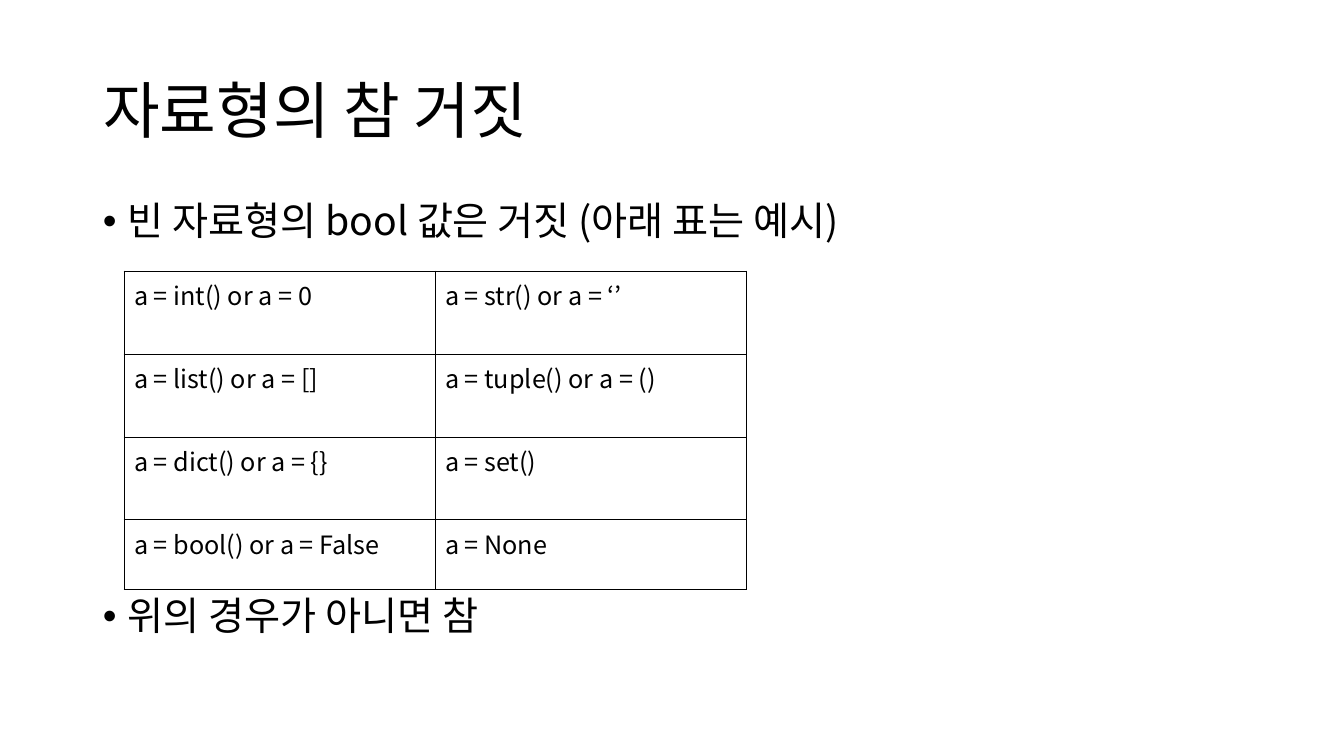
from lxml import etree
from pptx import Presentation
from pptx.dml.color import RGBColor
from pptx.enum.text import MSO_ANCHOR, PP_ALIGN
from pptx.oxml.ns import qn
from pptx.util import Emu, Pt

LEFT, MIDDLE, TOP = PP_ALIGN.LEFT, MSO_ANCHOR.MIDDLE, MSO_ANCHOR.TOP
FONT = "Noto Sans CJK KR"
COLORS = {"text": "000000", "border": "000000"}
EMU_PER_PIXEL = 914400 / 100.8

TITLE = "자료형의 참 거짓"
BULLETS = [
    ("빈 자료형의 bool 값은 거짓 (아래 표는 예시)", 10),
    ("위의 경우가 아니면 참", 252),
]
FALSY_VALUES = [
    ("a = int() or a = 0", "a = str() or a = ‘’"),
    ("a = list() or a = []", "a = tuple() or a = ()"),
    ("a = dict() or a = {}", "a = set()"),
    ("a = bool() or a = False", "a = None"),
]
TITLE_BOX = (93, 41, 1159, 146)
BODY_BOX = (93, 197, 1159, 516)
TABLE_ORIGIN = (124, 271)
COLUMN_WIDTHS = (311, 312)
ROW_HEIGHTS = (83, 83, 83, 70)
BULLET_INDENT = 25
BORDER_WIDTH = 0.75


def px(pixels):
    return Emu(round(pixels * EMU_PER_PIXEL))


def add_run(paragraph, text, size):
    run = paragraph.add_run()
    run.text = text
    run.font.size = Pt(size)
    run.font.name = FONT
    run.font.color.rgb = RGBColor.from_string(COLORS["text"])
    etree.SubElement(run.font._element, qn("a:ea"), typeface=FONT)
    paragraph.alignment = LEFT


def add_bullet(paragraph):
    properties = paragraph._p.get_or_add_pPr()
    properties.set("marL", str(px(BULLET_INDENT)))
    properties.set("indent", str(-px(BULLET_INDENT)))
    etree.SubElement(properties, qn("a:buFont"), typeface="Arial")
    etree.SubElement(properties, qn("a:buChar"), char="•")


def add_borders(cell):
    properties = cell._tc.get_or_add_tcPr()
    for position, side in enumerate(("lnL", "lnR", "lnT", "lnB")):
        line = etree.Element(qn("a:" + side), w=str(Pt(BORDER_WIDTH)))
        fill = etree.SubElement(line, qn("a:solidFill"))
        etree.SubElement(fill, qn("a:srgbClr"), val=COLORS["border"])
        properties.insert(position, line)


presentation = Presentation()
presentation.slide_width, presentation.slide_height = px(1344), px(756)
slide = presentation.slides.add_slide(presentation.slide_layouts[5])

title = slide.shapes.title
title.left, title.top, title.width, title.height = map(px, TITLE_BOX)
title.text_frame.vertical_anchor = MIDDLE
title_paragraph = title.text_frame.paragraphs[0]
title_paragraph.line_spacing = 0.9
add_run(title_paragraph, TITLE, 44)

body = slide.shapes.add_textbox(*map(px, BODY_BOX)).text_frame
body.word_wrap = True
for index, (text, space_before) in enumerate(BULLETS):
    paragraph = body.add_paragraph() if index else body.paragraphs[0]
    paragraph.line_spacing = 0.9
    paragraph.space_before = Pt(space_before)
    add_run(paragraph, text, 28)
    add_bullet(paragraph)

table = slide.shapes.add_table(
    len(FALSY_VALUES), len(COLUMN_WIDTHS), *map(px, TABLE_ORIGIN),
    px(sum(COLUMN_WIDTHS)), px(sum(ROW_HEIGHTS))).table
table.first_row = table.horz_banding = False
for column, width in zip(table.columns, COLUMN_WIDTHS):
    column.width = px(width)
for row, height, texts in zip(table.rows, ROW_HEIGHTS, FALSY_VALUES):
    row.height = px(height)
    for cell, text in zip(row.cells, texts):
        cell.fill.background()
        cell.vertical_anchor = TOP
        add_run(cell.text_frame.paragraphs[0], text, 18)
        add_borders(cell)

presentation.save("out.pptx")
